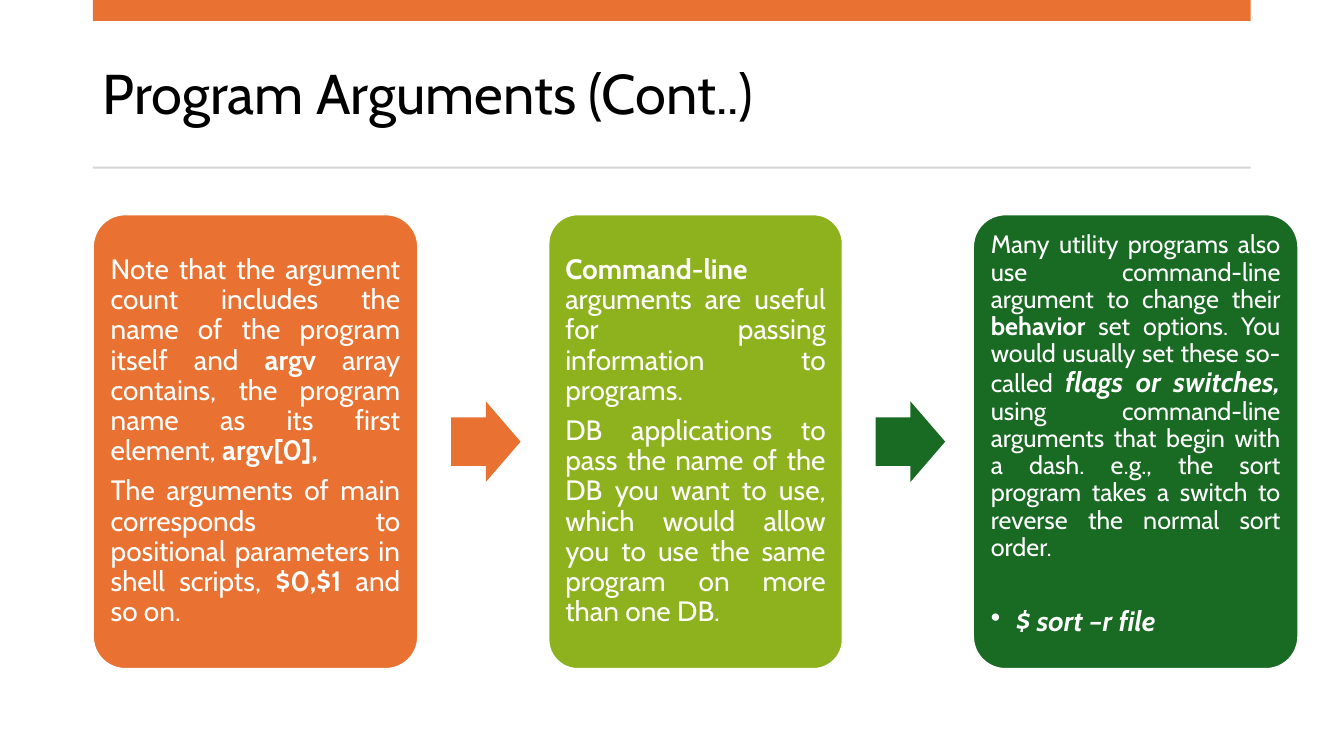
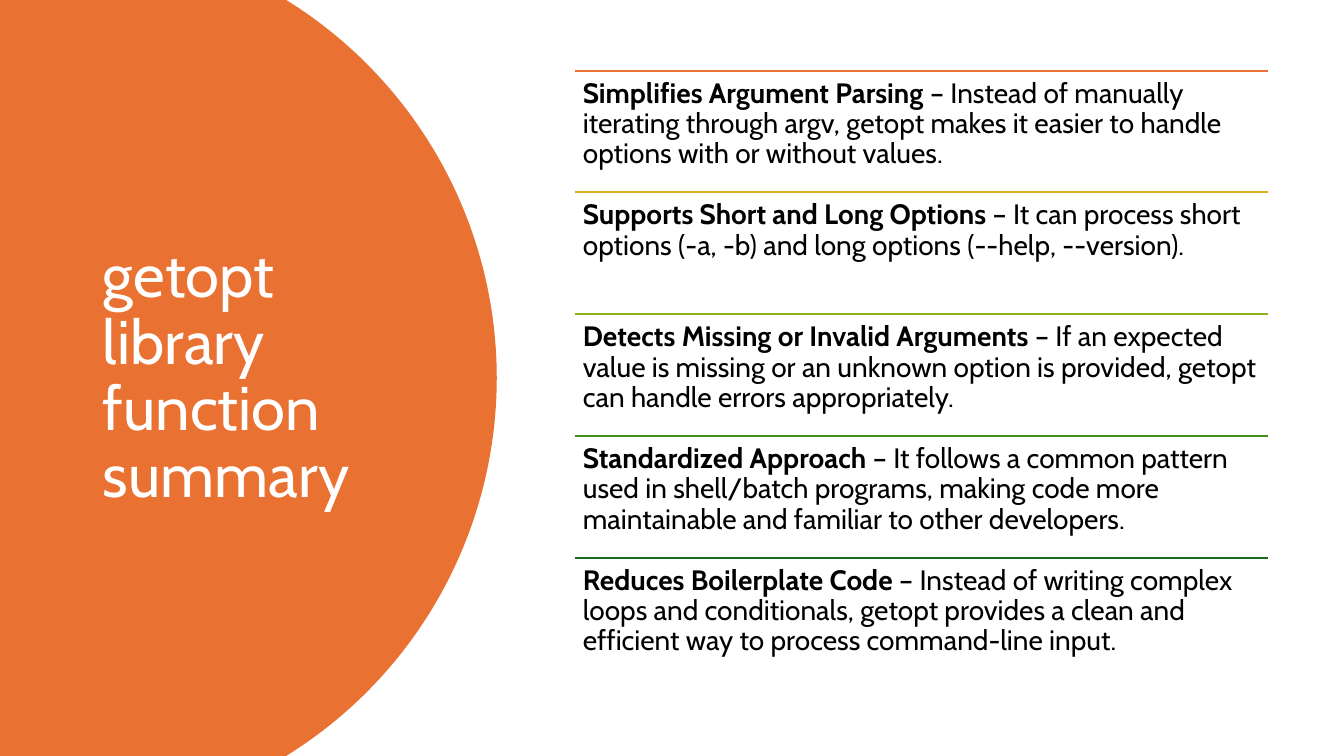
import math

from lxml import etree
from pptx import Presentation
from pptx import util as u
from pptx.dml.color import RGBColor
from pptx.enum import shapes, text
from pptx.oxml import ns

FONT = "Cabin"
ORANGE, GOLD, LIME, GREEN, FOREST = "E97132", "D8B11D", "8EB21E", "408E1C", "196B24"
WHITE, BLACK, GREY = "FFFFFF", "000000", "D5D5D5"
LEFT, FULL_WIDTH = 2.34, 29.18
PLAIN, BOLD, ITALIC = "", "b", "bi"


def paint(fill, colour):
    fill.solid()
    fill.fore_color.rgb = RGBColor.from_string(colour)


def write(frame, paragraphs, size, colour, anchor, align, inset=None):
    """Fill a text frame; each paragraph is a list of (words, style) pairs."""
    frame.word_wrap = True
    frame.auto_size = text.MSO_AUTO_SIZE.NONE
    frame.vertical_anchor = anchor
    if inset is not None:
        frame.margin_left = frame.margin_right = u.Cm(inset)
        frame.margin_top = frame.margin_bottom = u.Cm(inset)
    for number, pieces in enumerate(paragraphs):
        para = frame.add_paragraph() if number else frame.paragraphs[0]
        para.alignment = align
        para.line_spacing = 0.9
        para.space_after = u.Pt(0.35 * size)
        para.font.name = FONT
        para.font.size = u.Pt(size)
        paint(para.font.fill, colour)
        for words, style in pieces:
            span = para.add_run()
            span.text = words
            if style:
                span.font.bold = True
            if style == ITALIC:
                span.font.italic = True
                span.font.size = u.Pt(20)


deck = Presentation()
deck.slide_width, deck.slide_height = u.Cm(33.87), u.Cm(19.05)

titles = [
    ("Program Arguments (Cont..)", 40, BLACK, (LEFT, 0.94, FULL_WIDTH, 3)),
    ("getopt library function summary", 44, WHITE, (LEFT, 1.78, 8.2, 15.47)),
]
for heading, size, colour, place in titles:
    page = deck.slides.add_slide(deck.slide_layouts[5])
    title = page.shapes.title
    title.left, title.top, title.width, title.height = map(u.Cm, place)
    write(title.text_frame, [[(heading, PLAIN)]], size, colour,
          text.MSO_ANCHOR.MIDDLE, text.PP_ALIGN.LEFT)
arguments_page, summary_page = deck.slides

# Program arguments: bands, then three cards joined by arrows
for top, height, colour in [(0, 0.53, ORANGE), (4.2, 0.05, GREY)]:
    band = arguments_page.shapes.add_shape(
        shapes.MSO_SHAPE.RECTANGLE, u.Cm(LEFT), u.Cm(top), u.Cm(FULL_WIDTH), u.Cm(height))
    band.shadow.inherit = False
    paint(band.fill, colour)
    band.line.fill.background()

CARD_TOP, CARD_HEIGHT, CARD_GAP = 5.4, 11.46, 3.28
ARROW_OFFSET, ARROW_WIDTH, ARROW_HEIGHT = 0.83, 1.75, 2.03
MIDDLE, TOP = text.MSO_ANCHOR.MIDDLE, text.MSO_ANCHOR.TOP
cards = [
    (8.2, ORANGE, 20, MIDDLE, ORANGE, [
        [("Note that the argument count includes the name of the program itself and ", PLAIN),
         ("argv", BOLD),
         (" array contains, the program name as its first element, ", PLAIN),
         ("argv[0],", BOLD)],
        [("The arguments of main corresponds to positional parameters in shell scripts, ", PLAIN),
         ("$0,$1", BOLD),
         (" and so on.", PLAIN)]]),
    (7.42, LIME, 20, MIDDLE, FOREST, [
        [("Command-line", BOLD),
         (" arguments are useful for passing information to programs.", PLAIN)],
        [("DB applications to pass the name of the DB you want to use, which would allow "
          "you to use the same program on more than one DB.", PLAIN)]]),
    (8.2, FOREST, 18, TOP, None, [
        [("Many utility programs also use command-line argument to change their ", PLAIN),
         ("behavior", BOLD),
         (" set options. You would usually set these so-called ", PLAIN),
         ("flags or switches,", ITALIC),
         (" using command-line arguments that begin with a dash. e.g., the sort program "
          "takes a switch to reverse the normal sort order.", PLAIN)],
        [("$ sort –r file", ITALIC)]]),
]
card_left = LEFT
for width, colour, size, anchor, arrow_colour, paragraphs in cards:
    card = arguments_page.shapes.add_shape(
        shapes.MSO_SHAPE.ROUNDED_RECTANGLE,
        u.Cm(card_left), u.Cm(CARD_TOP), u.Cm(width), u.Cm(CARD_HEIGHT))
    card.adjustments[0] = 0.1
    card.shadow.inherit = False
    paint(card.fill, colour)
    paint(card.line.fill, WHITE)
    card.line.width = u.Pt(1.5)
    write(card.text_frame, paragraphs, size, WHITE, anchor, text.PP_ALIGN.JUSTIFY, 0.21)
    if arrow_colour:
        arrow = arguments_page.shapes.add_shape(
            shapes.MSO_SHAPE.RIGHT_ARROW,
            u.Cm(card_left + width + ARROW_OFFSET),
            u.Cm(CARD_TOP + (CARD_HEIGHT - ARROW_HEIGHT) / 2),
            u.Cm(ARROW_WIDTH), u.Cm(ARROW_HEIGHT))
        arrow.adjustments[0] = 0.6
        arrow.shadow.inherit = False
        paint(arrow.fill, arrow_colour)
        arrow.line.fill.background()
    card_left += width + CARD_GAP

# The last card ends with a bulleted command
command = card.text_frame.paragraphs[-1]
command.alignment = text.PP_ALIGN.LEFT
command.space_before = u.Pt(26)
properties = command._p.get_or_add_pPr()
properties.set("marL", str(u.Cm(0.64)))
properties.set("indent", str(-u.Cm(0.64)))
bullet = etree.Element(ns.qn("a:buChar"), char="•")
properties.find(ns.qn("a:defRPr")).addprevious(bullet)

# getopt summary: a disc cut off by the slide edges, behind the title
CENTRE_X, RADIUS, STEPS = 1.32, 11.2, 120
CENTRE_Y = 19.05 / 2
reach = math.asin(CENTRE_Y / RADIUS)
angles = [reach * (2 * step / STEPS - 1) for step in range(STEPS + 1)]
arc = [(u.Cm(CENTRE_X + RADIUS * math.cos(angle)), u.Cm(CENTRE_Y + RADIUS * math.sin(angle)))
       for angle in angles]
builder = summary_page.shapes.build_freeform(0, 0)
builder.add_line_segments(arc + [(0, deck.slide_height)], close=True)
disc = builder.convert_to_shape()
disc.shadow.inherit = False
paint(disc.fill, ORANGE)
disc.line.fill.background()
summary_page.shapes.title.element.addprevious(disc.element)

ROW_LEFT, ROW_TOP, ROW_WIDTH, ROW_HEIGHT = 14.48, 1.78, 17.48, 3.07
benefits = [
    (ORANGE, "Simplifies Argument Parsing",
     "Instead of manually iterating through argv, getopt makes it easier to handle "
     "options with or without values."),
    (GOLD, "Supports Short and Long Options",
     "It can process short options (-a, -b) and long options (--help, --version)."),
    (LIME, "Detects Missing or Invalid Arguments",
     "If an expected value is missing or an unknown option is provided, getopt can "
     "handle errors appropriately."),
    (GREEN, "Standardized Approach",
     "It follows a common pattern used in shell/batch programs, making code more "
     "maintainable and familiar to other developers."),
    (FOREST, "Reduces Boilerplate Code",
     "Instead of writing complex loops and conditionals, getopt provides a clean and "
     "efficient way to process command-line input."),
]
for row, (colour, benefit, reason) in enumerate(benefits):
    top = u.Cm(ROW_TOP + row * ROW_HEIGHT)
    rule = summary_page.shapes.add_connector(
        shapes.MSO_CONNECTOR.STRAIGHT, u.Cm(ROW_LEFT), top, u.Cm(ROW_LEFT + ROW_WIDTH), top)
    paint(rule.line.fill, colour)
    rule.line.width = u.Pt(1.5)
    etree.SubElement(rule.element.spPr, ns.qn("a:effectLst"))
    box = summary_page.shapes.add_textbox(
        u.Cm(ROW_LEFT), top, u.Cm(ROW_WIDTH), u.Cm(ROW_HEIGHT))
    write(box.text_frame, [[(benefit, BOLD), (" – " + reason, PLAIN)]], 20, BLACK,
          TOP, text.PP_ALIGN.LEFT, 0.21)

deck.save("out.pptx")
